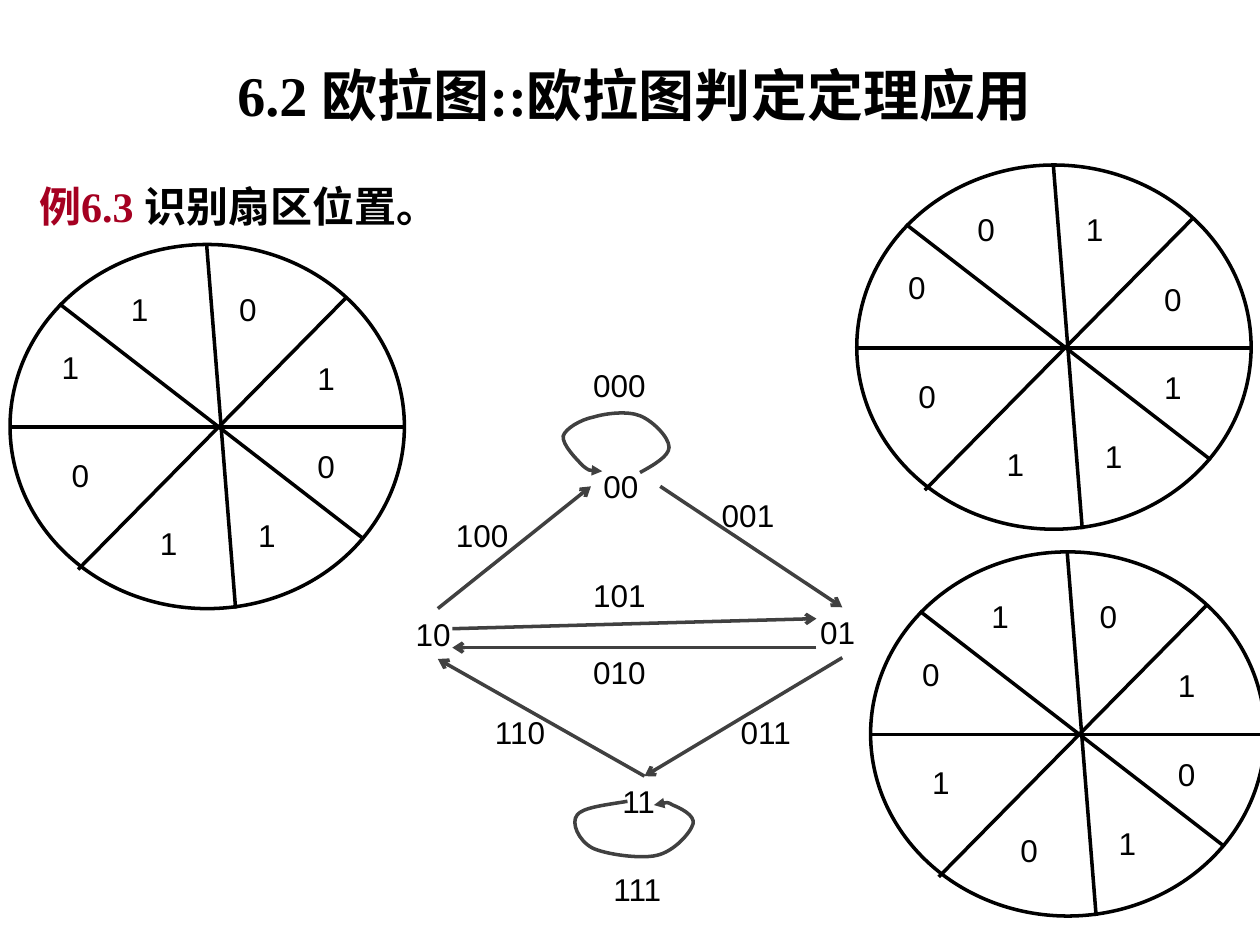
from lxml.etree import SubElement as Sub
from pptx import Presentation
from pptx.dml.color import RGBColor as Rgb
from pptx.enum.shapes import MSO_CONNECTOR as Conn, MSO_SHAPE as Geo
from pptx.enum.text import MSO_ANCHOR as Anchor, PP_ALIGN as Align
from pptx.oxml.ns import qn
from pptx.util import Inches, Pt

COLORS = {"ink": "000000", "red": "A50021", "edge": "404040", "paper": "FFFFFF"}
SERIF, SANS = "Times New Roman", "Arial"

# Wheel parts, measured from the corner of the wheel
WHEEL = (3.13, 2.89)
SPOKES = [
    ((0, 1.45), (3.13, 1.45)),
    ((0.39, 0.47), (2.81, 2.34)),
    ((2.67, 0.42), (0.54, 2.58)),
    ((1.56, 0), (1.79, 2.89)),
]
SECTORS = [
    (0.86, 0.31), (0.31, 0.77), (0.39, 1.63), (1.09, 2.17),
    (1.87, 2.11), (2.34, 1.56), (2.34, 0.86), (1.72, 0.31),
]

# Graph parts, measured from the corner of the graph
NODES = {"00": (1.49, 0.8), "10": (0, 1.97), "01": (3.21, 1.96), "11": (1.64, 3.3)}
TOP, LEFT, BOTTOM, RIGHT = range(4)
JOINS = [
    ("10", TOP, "00", LEFT),
    ("00", RIGHT, "01", TOP),
    ("01", BOTTOM, "11", TOP),
    ("11", TOP, "10", BOTTOM),
]
PAIR = [((0.39, 2.13), (3.28, 2.05)), ((3.28, 2.28), (0.39, 2.28))]
WORDS = {
    "000": (1.41, 0), "111": (1.57, 4), "001": (2.43, 1.03), "100": (0.32, 1.19),
    "101": (1.41, 1.66), "010": (1.41, 2.27), "110": (0.63, 2.75), "011": (2.58, 2.75),
}
# Each loop: a start, then three Bezier points for each curve
LOOPS = [
    [(1.88, 0.89), (1.99, 0.83), (2.11, 0.76), (2.11, 0.69),
     (2.11, 0.61), (1.98, 0.48), (1.88, 0.44),
     (1.78, 0.4), (1.61, 0.42), (1.51, 0.45),
     (1.41, 0.47), (1.29, 0.54), (1.27, 0.6),
     (1.26, 0.67), (1.38, 0.79), (1.43, 0.84),
     (1.48, 0.88), (1.53, 0.88), (1.58, 0.88)],
    [(1.78, 3.5), (1.6, 3.53), (1.42, 3.55), (1.38, 3.61),
     (1.33, 3.67), (1.39, 3.81), (1.5, 3.87),
     (1.6, 3.92), (1.88, 3.96), (2.01, 3.93),
     (2.15, 3.9), (2.28, 3.75), (2.3, 3.68),
     (2.32, 3.61), (2.19, 3.55), (2.14, 3.53),
     (2.09, 3.5), (2.04, 3.52), (1.99, 3.53)],
]


def shift(box, point):
    return box[0] + point[0], box[1] + point[1]


def style(font, size, name, color, bold=False):
    font.size, font.name, font.bold = Pt(size), name, bold
    font.color.rgb = Rgb.from_string(COLORS[color])


def add_box(slide, spot, width, height):
    box = slide.shapes.add_textbox(*map(Inches, (*spot, width, height)))
    box.text_frame.word_wrap = True
    return box


def add_label(slide, spot, text, width):
    box = add_box(slide, spot, width, 0.4)
    box.text_frame.text = text
    style(box.text_frame.paragraphs[0].runs[0].font, 18, SANS, "ink")
    return box


def set_line(shape, color, head=None):
    shape.line.color.rgb = Rgb.from_string(COLORS[color])
    shape.line.width = Pt(2)
    if head:
        Sub(shape.line._get_or_add_ln(), qn("a:tailEnd"), type=head)


def add_line(slide, start, end, color, head=None):
    line = slide.shapes.add_connector(Conn.STRAIGHT, *map(Inches, (*start, *end)))
    set_line(line, color, head)
    Sub(line._element.spPr, qn("a:effectLst"))
    return line


def add_loop(slide, box, points):
    start, *rest = [tuple(map(Inches, shift(box, p))) for p in points]
    pen = slide.shapes.build_freeform(*start)
    pen.add_line_segments(rest, close=False)
    loop = pen.convert_to_shape()
    # Turn each three line segments into one curve
    track = next(loop._element.iter(qn("a:path")))
    legs = track.findall(qn("a:lnTo"))
    for i in range(0, len(legs), 3):
        curve = Sub(track, qn("a:cubicBezTo"))
        for leg in legs[i:i + 3]:
            curve.append(leg[0])
            track.remove(leg)
    loop.shadow.inherit = False
    loop.fill.background()
    set_line(loop, "edge", "triangle")


def add_title(slide, box):
    frame = add_box(slide, box[:2], *box[2:]).text_frame
    frame.vertical_anchor = Anchor.MIDDLE
    frame.text = "6.2 欧拉图::欧拉图判定定理应用"
    para = frame.paragraphs[0]
    para.alignment = Align.CENTER
    style(para.runs[0].font, 32, SERIF, "ink", True)


def add_example(slide, box):
    frame = add_box(slide, box[:2], *box[2:]).text_frame
    frame.margin_left = frame.margin_right = frame.margin_top = 0
    para = frame.paragraphs[0]
    para.line_spacing = 1.25
    for text, color in (("例6.3 ", "red"), ("识别扇区位置。", "ink")):
        run = para.add_run()
        run.text = text
        style(run.font, 24, SERIF, color, True)


def add_wheel(slide, box, bits):
    disc = slide.shapes.add_shape(Geo.OVAL, *map(Inches, (*box, *WHEEL)))
    disc.shadow.inherit = False
    disc.fill.solid()
    disc.fill.fore_color.rgb = Rgb.from_string(COLORS["paper"])
    set_line(disc, "ink")
    for start, end in SPOKES:
        add_line(slide, shift(box, start), shift(box, end), "ink")
    for bit, spot in zip(bits, SECTORS):
        add_label(slide, shift(box, spot), bit, 0.47)


def add_graph(slide, box):
    nodes = {
        name: add_label(slide, shift(box, spot), name, 0.55)
        for name, spot in NODES.items()
    }
    # Edges between nodes
    for tail, out, head, into in JOINS:
        edge = add_line(slide, box, box, "edge", "arrow")
        edge.begin_connect(nodes[tail], out)
        edge.end_connect(nodes[head], into)
    for start, end in PAIR:
        add_line(slide, shift(box, start), shift(box, end), "edge", "arrow")
    # Loops and edge labels
    for points in LOOPS:
        add_loop(slide, box, points)
    for word, spot in WORDS.items():
        add_label(slide, shift(box, spot), word, 0.7)


def main():
    deck = Presentation()
    deck.slide_width, deck.slide_height = Inches(10), Inches(7.5)
    slide = deck.slides.add_slide(deck.slide_layouts[6])
    add_title(slide, (1.69, 0.52, 6.69, 0.46))
    add_example(slide, (0.31, 1.33, 3.59, 0.47))
    add_wheel(slide, (0.08, 1.94), "11011010")
    add_wheel(slide, (6.8, 1.31), "00011101")
    add_graph(slide, (3.2, 2.86))
    add_wheel(slide, (6.91, 4.38), "10101010")
    deck.save("out.pptx")


if __name__ == "__main__":
    main()
